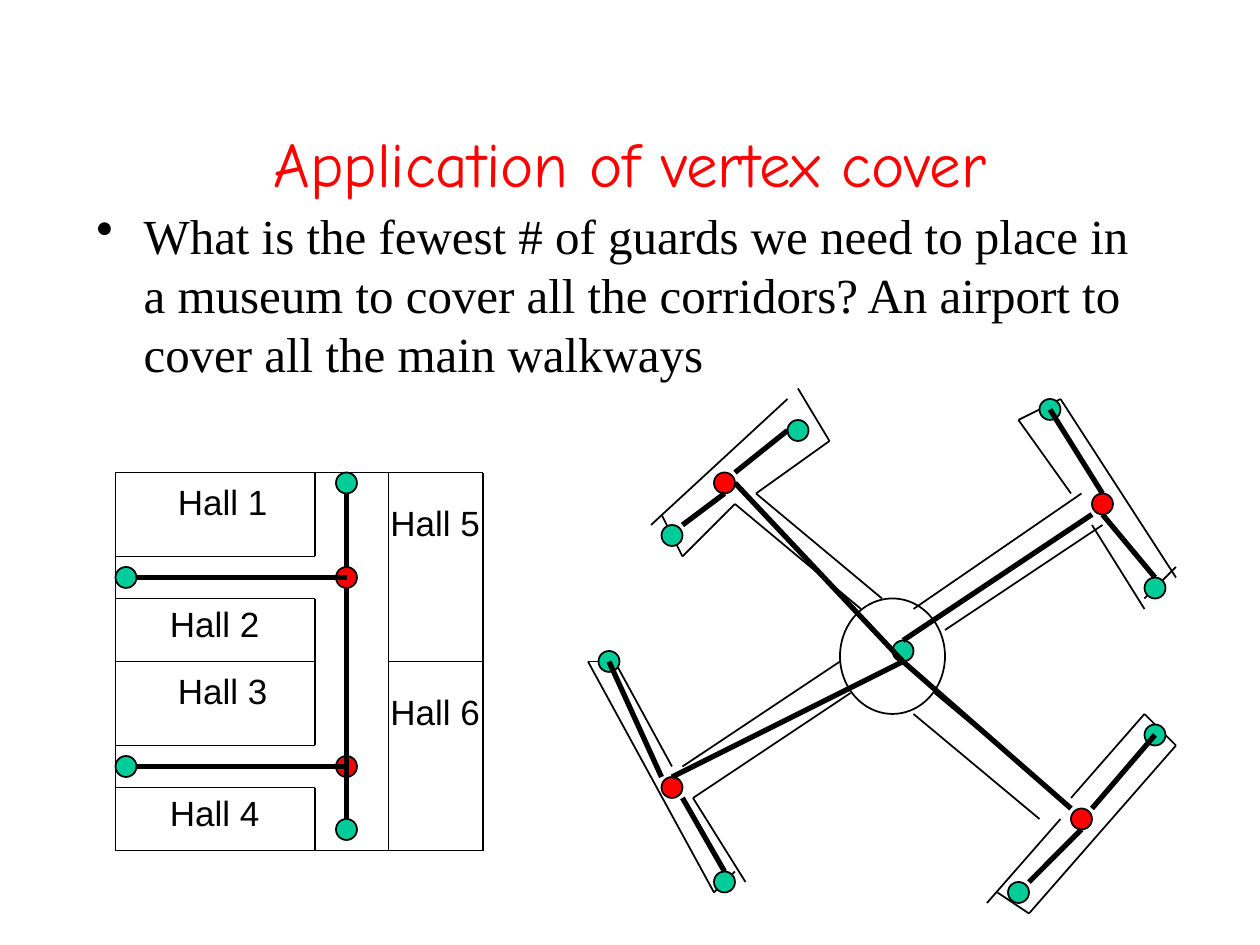
from dataclasses import dataclass

from lxml import etree
from pptx import Presentation
from pptx.dml.color import RGBColor
from pptx.enum.shapes import MSO_CONNECTOR, MSO_SHAPE
from pptx.enum.text import MSO_ANCHOR, MSO_AUTO_SIZE, PP_ALIGN
from pptx.oxml.ns import qn
from pptx.util import Pt

STRAIGHT = MSO_CONNECTOR.STRAIGHT
OVAL = MSO_SHAPE.OVAL
MIDDLE = MSO_ANCHOR.MIDDLE
FIT_SHAPE = MSO_AUTO_SIZE.SHAPE_TO_FIT_TEXT
CENTER, LEFT = PP_ALIGN.CENTER, PP_ALIGN.LEFT

EMU_PER_PX = 9525
STEP = 8
TITLE_ONLY = 5


@dataclass(frozen=True)
class Theme:
    ink: RGBColor = RGBColor(0, 0, 0)
    title: RGBColor = RGBColor(255, 0, 0)
    guard: RGBColor = RGBColor(255, 0, 0)
    junction: RGBColor = RGBColor(0, 204, 153)
    title_font: str = "Comic Neue"
    body_font: str = "Times New Roman"
    label_font: str = "Arial"
    title_size: int = 36
    body_size: int = 28
    label_size: int = 20
    wall: int = 1
    corridor: int = 3


THEME = Theme()

WING_TOPS = (45, 63)
WING_HEIGHT = 18
WEST, ROOM_EDGE, HALL_EDGE, EAST = 11, 30, 37, 46
WING_WALLS = (
    (WEST, 0, WEST, 18), (EAST, 0, EAST, 18), (HALL_EDGE, 0, HALL_EDGE, 18),
    (WEST, 0, ROOM_EDGE, 0), (HALL_EDGE, 0, EAST, 0),
    (WEST, 8, ROOM_EDGE, 8), (WEST, 12, ROOM_EDGE, 12),
    (ROOM_EDGE, 0, ROOM_EDGE, 8), (ROOM_EDGE, 12, ROOM_EDGE, 18),
)
HALL_OFFSETS = ((126, 1), (120, 94), (288, 17))
WING_HALLS = (("Hall 1", "Hall 2", "Hall 5"), ("Hall 3", "Hall 4", "Hall 6"))
MUSEUM_GUARDS = ((33, 55), (33, 73))
MUSEUM_JUNCTIONS = ((33, 46), (12, 55), (12, 73))
MUSEUM_EXIT = (33, 79)
MUSEUM_CORRIDORS = (
    (33, 47, 33, 54), (33, 56, 33, 73), (33, 73, 33, 79),
    (13, 73, 33, 73), (13, 55, 33, 55),
)

HUB = (80, 57, 10, 11)
AIRPORT_WALLS = (
    (89, 66, 101, 76), (87, 68, 99, 78), (70, 48, 82, 58), (72, 47, 84, 57),
    (80, 63, 65, 73), (81, 66, 66, 76), (90, 60, 105, 50), (87, 58, 103, 47),
    (79, 42, 72, 47), (70, 48, 65, 53), (75, 38, 62, 50), (63, 49, 65, 53),
    (76, 37, 79, 42), (56, 63, 68, 85), (58, 62, 64, 73), (66, 76, 71, 84),
    (109, 68, 102, 76), (101, 78, 94, 86), (112, 71, 98, 87), (109, 68, 112, 71),
    (98, 87, 95, 85), (58, 63, 56, 63), (68, 85, 70, 83), (104, 50, 109, 58),
    (97, 40, 102, 47), (101, 38, 112, 55), (101, 38, 97, 40), (112, 54, 109, 57),
)
AIRPORT_GUARDS = ((69, 46), (64, 75), (105, 48), (103, 78))
AIRPORT_JUNCTIONS = (
    (64, 51), (58, 63), (69, 84), (86, 62), (110, 56),
    (100, 39), (76, 41), (97, 85), (110, 70),
)
AIRPORT_WALKWAYS = (
    (65, 76, 69, 83), (58, 63, 63, 74), (86, 63, 64, 74), (75, 41, 70, 45),
    (69, 47, 65, 50), (70, 46, 86, 63), (104, 49, 86, 61), (102, 77, 86, 63),
    (110, 70, 104, 77), (103, 79, 98, 84), (100, 39, 105, 47), (105, 49, 110, 55),
)


def px(*lengths):
    return [length * EMU_PER_PX for length in lengths]


def grid(*steps):
    return px(*(step * STEP for step in steps))


def format_text(para, font, size, color, align=LEFT):
    para.alignment = align
    for span in para.runs:
        span.font.name = font
        span.font.size = Pt(size)
        span.font.color.rgb = color


def add_title(page, text):
    title = page.shapes.title
    title.left, title.top, title.width, title.height = px(72, 64, 816, 120)
    frame = title.text_frame
    frame.text = text
    frame.vertical_anchor = MIDDLE
    format_text(frame.paragraphs[0], THEME.title_font, THEME.title_size, THEME.title, CENTER)


def add_bullet(page, text):
    box = page.shapes.add_textbox(*px(64, 152, 816, 144))
    frame = box.text_frame
    frame.word_wrap = True
    frame.text = text
    para = frame.paragraphs[0]
    para.space_before = Pt(1.4)
    format_text(para, THEME.body_font, THEME.body_size, THEME.ink)
    properties = para._p.get_or_add_pPr()
    indent = px(36)[0]
    properties.set("marL", str(indent))
    properties.set("indent", str(-indent))
    etree.SubElement(properties, qn("a:buChar")).set("char", "•")


def add_label(page, text, left, top):
    box = page.shapes.add_textbox(*px(left, top, 90, 41))
    frame = box.text_frame
    frame.word_wrap = False
    frame.auto_size = FIT_SHAPE
    frame.text = text
    format_text(frame.paragraphs[0], THEME.label_font, THEME.label_size, THEME.ink)


def add_lines(page, segments, weight):
    for segment in segments:
        line = page.shapes.add_connector(STRAIGHT, *grid(*segment))
        line.line.color.rgb = THEME.ink
        line.line.width = Pt(weight)
        etree.SubElement(line._element.spPr, qn("a:effectLst"))


def add_oval(page, bounds, color=None):
    oval = page.shapes.add_shape(OVAL, *grid(*bounds))
    oval.shadow.inherit = False
    if color is None:
        oval.fill.background()
    else:
        oval.fill.solid()
        oval.fill.fore_color.rgb = color
    oval.line.color.rgb = THEME.ink
    oval.line.width = Pt(THEME.wall)


def add_dots(page, centers, color):
    for x, y in centers:
        add_oval(page, (x - 1, y - 1, 2, 2), color)


def add_museum(page):
    for top, halls in zip(WING_TOPS, WING_HALLS):
        walls = [(x1, top + y1, x2, top + y2) for x1, y1, x2, y2 in WING_WALLS]
        add_lines(page, walls, THEME.wall)
        for hall, (left, drop) in zip(halls, HALL_OFFSETS):
            add_label(page, hall, left, top * STEP + drop)
    first, last = WING_TOPS[0], WING_TOPS[-1] + WING_HEIGHT
    closing = [(ROOM_EDGE, first, HALL_EDGE, first), (WEST, last, EAST, last)]
    add_lines(page, closing, THEME.wall)
    add_dots(page, MUSEUM_GUARDS, THEME.guard)
    add_dots(page, MUSEUM_JUNCTIONS, THEME.junction)
    add_lines(page, MUSEUM_CORRIDORS, THEME.corridor)
    add_dots(page, [MUSEUM_EXIT], THEME.junction)


def add_airport(page):
    add_oval(page, HUB)
    add_lines(page, AIRPORT_WALLS, THEME.wall)
    add_dots(page, AIRPORT_JUNCTIONS, THEME.junction)
    add_dots(page, AIRPORT_GUARDS, THEME.guard)
    add_lines(page, AIRPORT_WALKWAYS, THEME.corridor)


def main():
    deck = Presentation()
    deck.slide_width, deck.slide_height = px(960, 720)
    page = deck.slides.add_slide(deck.slide_layouts[TITLE_ONLY])
    add_title(page, "Application of vertex cover")
    add_bullet(
        page,
        "What is the fewest # of guards we need to place in a museum to cover "
        "all the corridors? An airport to cover all the main walkways",
    )
    add_museum(page)
    add_airport(page)
    deck.save("out.pptx")


if __name__ == "__main__":
    main()
